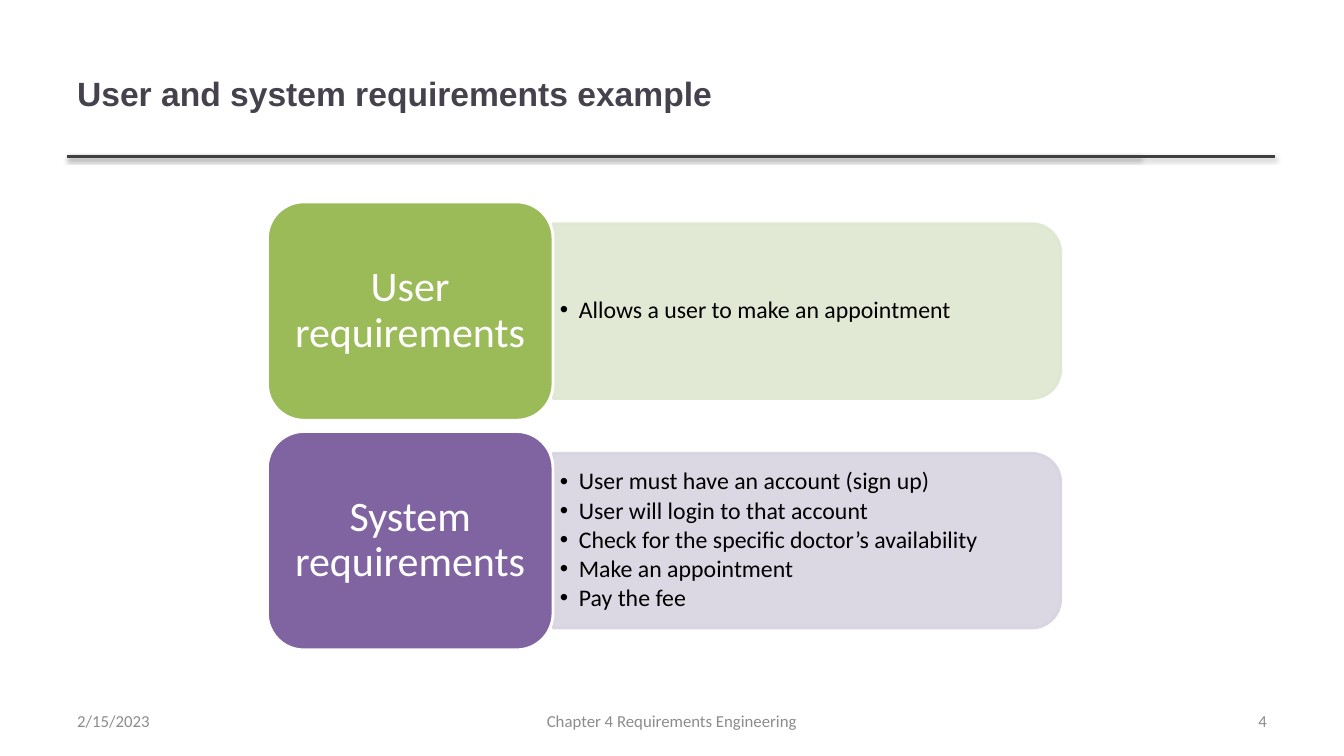
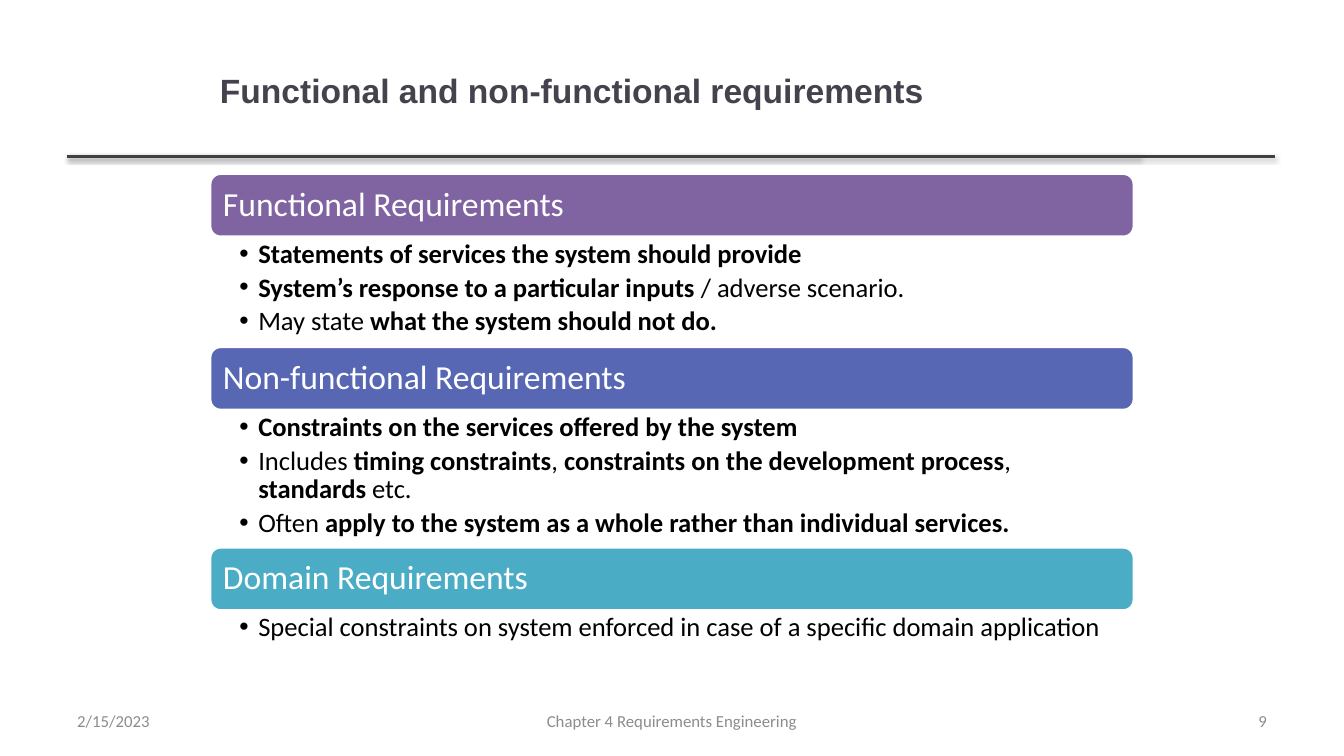
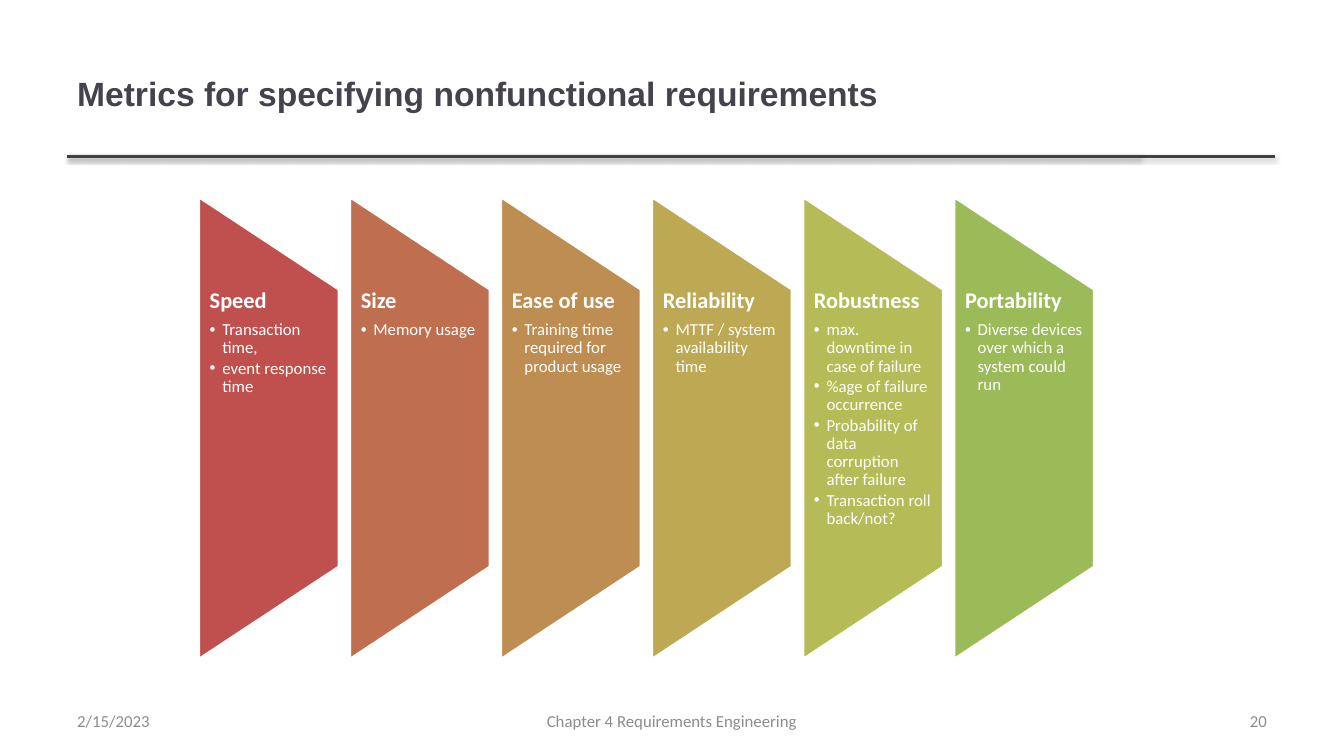
from lxml import etree
from pptx import Presentation
from pptx.dml.color import RGBColor
from pptx.enum import shapes, text
from pptx.oxml import ns
from pptx.util import Pt

COLORS = {
    "title": "46424D", "footer": "8C8C8C", "rule": "404040",
    "ink": "000000", "white": "FFFFFF",
    "green": "9BBB59", "pale green": "DEE7D1",
    "purple": "8064A2", "pale purple": "D8D3E0",
    "indigo": "5767B4", "teal": "4BACC6",
    "red": "C0504D", "rust": "BF6F4F", "tan": "BE8D52",
    "gold": "BDA954", "olive": "B5BC57",
}

# Each style: font values, text colour, paragraph values, bullet indent in points.
STYLES = {
    "title": ({"name": "Arial", "size": Pt(24), "bold": True}, "title", {}, 0),
    "footer": ({"name": "Calibri", "size": Pt(12)}, "footer", {}, 0),
    "label": ({"name": "Calibri", "size": Pt(30)}, "white",
              {"line_spacing": 0.9, "space_after": Pt(10.5),
               "alignment": text.PP_ALIGN.CENTER}, 0),
    "panel": ({"name": "Calibri", "size": Pt(17)}, "ink",
              {"line_spacing": 0.9, "space_after": Pt(2.5)}, 13.5),
    "banner": ({"name": "Calibri", "size": Pt(24)}, "white",
               {"line_spacing": 0.9, "space_after": Pt(8.4),
                "alignment": text.PP_ALIGN.LEFT}, 0),
    "detail": ({"name": "Calibri", "size": Pt(19)}, "ink",
               {"line_spacing": 0.9, "space_after": Pt(3.6)}, 13.5),
    "metric": ({"name": "Calibri", "size": Pt(16), "bold": True}, "white",
               {"line_spacing": 0.9, "space_after": Pt(5.6)}, 0),
    "measure": ({"name": "Calibri", "size": Pt(12)}, "white",
                {"line_spacing": 0.9, "space_after": Pt(1.7)}, 9),
}

DATE = "2/15/2023"
CHAPTER = "Chapter 4 Requirements Engineering"


def rgb(color):
    return RGBColor.from_string(COLORS[color])


def set_values(target, values):
    for name, value in values.items():
        setattr(target, name, value)


def child(parent, tag, **attributes):
    return etree.SubElement(parent, ns.qn(tag), {k: str(v) for k, v in attributes.items()})


class Deck:
    def __init__(self):
        self.prs = Presentation()
        set_values(self.prs, {"slide_width": Pt(960), "slide_height": Pt(540)})
        self.slide = None

    def new_slide(self, title, number, title_box=(48, 21.6, 765.4, 90)):
        self.slide = self.prs.slides.add_slide(self.prs.slide_layouts[6])
        for right in (815, 910.8):
            self.rule(48, right, 111.6)
        middle = text.MSO_ANCHOR.MIDDLE
        self.text_box(title_box, [("title", title)], anchor=middle)
        align = text.PP_ALIGN
        for left, width, words, side in (
            (48, 224, DATE, align.LEFT),
            (328, 304, CHAPTER, align.CENTER),
            (688, 224, str(number), align.RIGHT),
        ):
            self.text_box((left, 500.5, width, 28.75), [("footer", words)],
                          anchor=middle, align=side)

    def rule(self, left, right, y):
        """Draw the horizontal line below the title, with its soft shadow."""
        line = self.slide.shapes.add_connector(
            shapes.MSO_CONNECTOR.STRAIGHT, Pt(left), Pt(y), Pt(right), Pt(y))
        line.line.color.rgb = rgb("rule")
        line.line.width = Pt(2)
        effects = child(line._element.spPr, "a:effectLst")
        shadow = child(effects, "a:outerShdw", blurRad=Pt(3.1), dist=Pt(1.6),
                       dir=90 * 60000, rotWithShape=0)
        child(child(shadow, "a:srgbClr", val=COLORS["ink"]), "a:alpha", val=38000)

    def fill_text(self, frame, paragraphs, insets, anchor, align=None):
        """Fill a frame from (style, words) pairs; words between * marks are bold."""
        sides = ("margin_left", "margin_top", "margin_right", "margin_bottom")
        set_values(frame, dict(zip(sides, map(Pt, insets))))
        set_values(frame, {"word_wrap": True, "vertical_anchor": anchor})
        for index, (style, words) in enumerate(paragraphs):
            font, color, layout, indent = STYLES[style]
            paragraph = frame.add_paragraph() if index else frame.paragraphs[0]
            if indent:
                properties = paragraph._p.get_or_add_pPr()
                properties.set("marL", str(Pt(indent)))
                properties.set("indent", str(-Pt(indent)))
                child(properties, "a:buFont", typeface="Arial")
                child(properties, "a:buChar", char="•")
            set_values(paragraph, layout)
            if align is not None:
                paragraph.alignment = align
            for part, piece in enumerate(words.split("*")):
                if piece:
                    run = paragraph.add_run()
                    run.text = piece
                    set_values(run.font, font)
                    run.font.color.rgb = rgb(color)
                    if part % 2:
                        run.font.bold = True

    def text_box(self, box, paragraphs, insets=(7.2, 3.6, 7.2, 3.6),
                 anchor=text.MSO_ANCHOR.TOP, align=None):
        frame = self.slide.shapes.add_textbox(*map(Pt, box)).text_frame
        self.fill_text(frame, paragraphs, insets, anchor, align)

    def block(self, kind, box, fill, line="white", turn=0, alpha=None):
        """Add a filled shape that covers box after a quarter turn, if any."""
        left, top, width, height = box
        if turn:
            shift = (width - height) / 2
            left, top, width, height = left + shift, top - shift, height, width
        shape = self.slide.shapes.add_shape(kind, *map(Pt, (left, top, width, height)))
        shape.shadow.inherit = False
        shape.rotation = turn
        shape.fill.solid()
        shape.fill.fore_color.rgb = rgb(fill)
        shape.line.color.rgb = rgb(line)
        shape.line.width = Pt(2)
        if alpha:
            for paint in shape._element.spPr.iter(ns.qn("a:srgbClr")):
                child(paint, "a:alpha", val=alpha * 1000)
        return shape

    def heading(self, box, fill, style, words, insets):
        shape = self.block(shapes.MSO_SHAPE.ROUNDED_RECTANGLE, box, fill)
        self.fill_text(shape.text_frame, [(style, words)], insets, text.MSO_ANCHOR.MIDDLE)


def requirements_example(deck):
    deck.new_slide("User and system requirements example", 4)
    rows = [
        ("User requirements", "green", ["Allows a user to make an appointment"]),
        ("System requirements", "purple", [
            "User must have an account (sign up)",
            "User will login to that account",
            "Check for the specific doctor’s availability",
            "Make an appointment",
            "Pay the fee",
        ]),
    ]
    left, label_width, label_height = 191, 204, 156
    panel_left, panel_height, text_height = left + label_width, 124.8, 113
    for row, (label, color, points) in enumerate(rows):
        top = 144.2 + 164 * row
        middle = top + label_height / 2
        deck.block(shapes.MSO_SHAPE.ROUND_2_SAME_RECTANGLE,
                   (panel_left, middle - panel_height / 2, 362.7, panel_height),
                   "pale " + color, "pale " + color, turn=90, alpha=90)
        deck.text_box((panel_left, middle - text_height / 2, 357, text_height),
                      [("panel", point) for point in points],
                      (5, 2.9, 5, 2.9), text.MSO_ANCHOR.MIDDLE)
        deck.heading((left, top, label_width, label_height), color, "label", label,
                     (8.6, 4.3, 8.6, 4.3))


def requirement_kinds(deck):
    left, width, banner_height = 150, 660, 45.2
    deck.new_slide("Functional and non-functional requirements", 9,
                   (left, 21, width, 87))
    kinds = [
        ("Functional Requirements", "purple", 78.5, [
            "*Statements of services the system should provide*",
            "*System’s response to a particular inputs */ adverse scenario.",
            "May state *what the system should not do.*",
        ]),
        ("Non-functional Requirements", "indigo", 98, [
            "*Constraints on the services offered by the system*",
            "Includes *timing constraints*, *constraints on the development process*, "
            "*standards* etc.",
            "Often *apply to the system as a whole rather than individual services.*",
        ]),
        ("Domain Requirements", "teal", 31, [
            "Special constraints on system enforced in case of a specific domain application",
        ]),
    ]
    top = 124
    for kind, color, detail_height, points in kinds:
        deck.heading((left, top, width, banner_height), color, "banner", kind, (7.2,) * 4)
        top += banner_height
        deck.text_box((left, top, width, detail_height),
                      [("detail", point) for point in points], (21, 2.4, 13.5, 2.4))
        top += detail_height


def metrics(deck):
    deck.new_slide("Metrics for specifying nonfunctional requirements", 20)
    columns = [
        ("Speed", "red", ["Transaction time,", "event response time"]),
        ("Size", "rust", ["Memory usage"]),
        ("Ease of use", "tan", ["Training time required for product usage"]),
        ("Reliability", "gold", ["MTTF / system availability time"]),
        ("Robustness", "olive", [
            "max. downtime in case of failure",
            "%age of failure occurrence",
            "Probability of data corruption after failure",
            "Transaction roll back/not?",
        ]),
        ("Portability", "green", ["Diverse devices over which a system could run"]),
    ]
    width = 100.2
    for column, (metric, color, measures) in enumerate(columns):
        left = 141.9 + 107.9 * column
        deck.block(shapes.MSO_SHAPE.FLOWCHART_MANUAL_OPERATION,
                   (left, 140.5, width, 330.5), color, turn=270)
        deck.text_box((left, 206.6, width, 198.7),
                      [("metric", metric)] + [("measure", item) for item in measures],
                      (7.9, 0, 7.9, 0))


def main():
    deck = Deck()
    requirements_example(deck)
    requirement_kinds(deck)
    metrics(deck)
    deck.prs.save("out.pptx")


if __name__ == "__main__":
    main()
